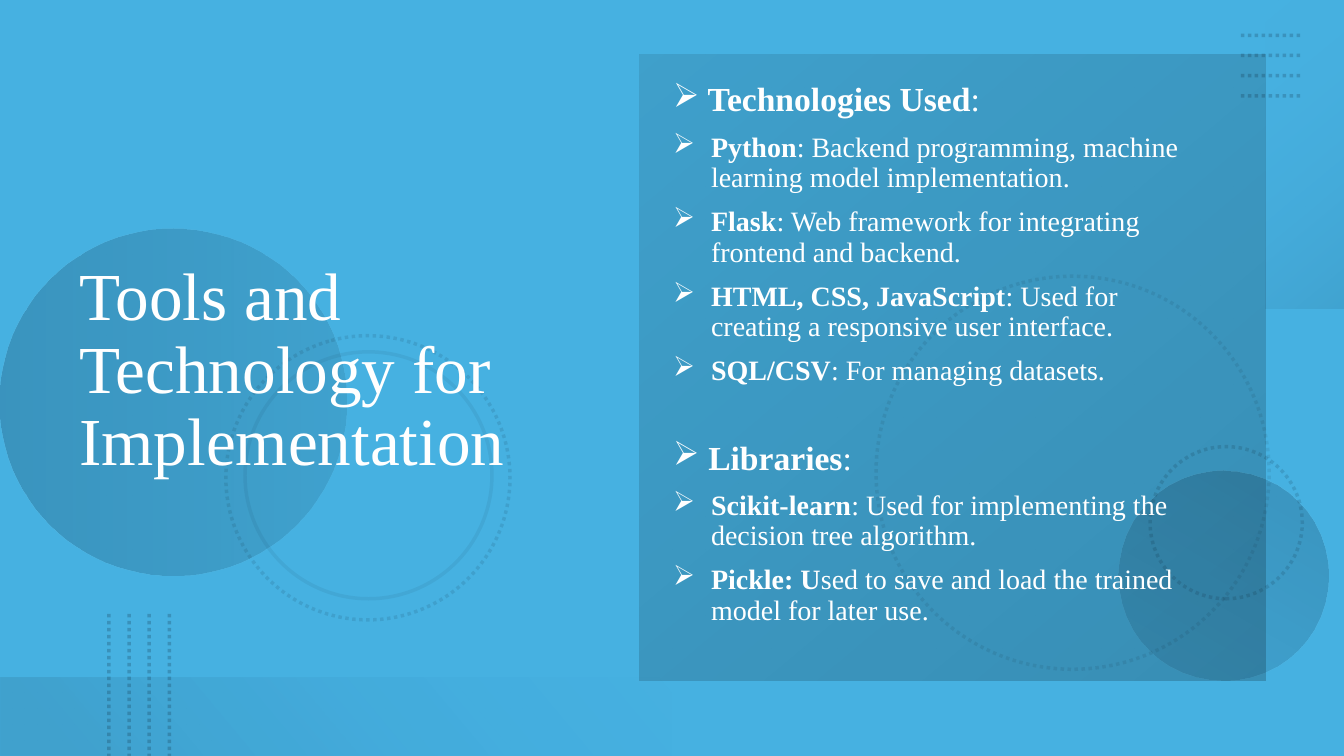
from lxml import etree
from pptx import Presentation
from pptx.dml.color import RGBColor
from pptx.enum.dml import MSO_LINE
from pptx.enum.shapes import MSO_CONNECTOR, MSO_SHAPE
from pptx.enum.text import MSO_ANCHOR
from pptx.oxml.ns import qn
from pptx.util import Pt

RECTANGLE = MSO_SHAPE.RECTANGLE
OVAL = MSO_SHAPE.OVAL
STRAIGHT = MSO_CONNECTOR.STRAIGHT
MIDDLE = MSO_ANCHOR.MIDDLE
DOTTED = MSO_LINE.ROUND_DOT
SOLID = MSO_LINE.SOLID

SKY = RGBColor(0x46, 0xB1, 0xE1)
INK = RGBColor(0x07, 0x14, 0x20)
NAVY = RGBColor(0x0B, 0x1E, 0x31)
BLUE = RGBColor(0x2D, 0x7F, 0xCF)
PALE_BLUE = RGBColor(0x71, 0xAA, 0xE0)
BLACK = RGBColor(0, 0, 0)
WHITE = RGBColor(0xFF, 0xFF, 0xFF)
FONT = "Times New Roman"

SECTIONS = [
    (" Technologies Used", [
        ("Python", ": Backend programming, machine learning model implementation."),
        ("Flask", ": Web framework for integrating frontend and backend."),
        ("HTML, CSS, JavaScript", ": Used for creating a responsive user interface."),
        ("SQL/CSV", ": For managing datasets."),
    ]),
    (" Libraries", [
        ("Scikit-learn", ": Used for implementing the decision tree algorithm."),
        ("Pickle: U", "sed to save and load the trained model for later use."),
    ]),
]


def set_alpha(color_parent, percent):
    color = color_parent.find(qn("a:srgbClr"))
    etree.SubElement(color, qn("a:alpha"), val=str(percent * 1000))


def add_shape(page, kind, left, top, width, height, rotation=0):
    shape = page.shapes.add_shape(kind, Pt(left), Pt(top), Pt(width), Pt(height))
    shape.shadow.inherit = False
    shape.rotation = rotation
    shape.line.fill.background()
    return shape


def fill_gradient(shape, angle, *stops):
    """Fill with two (position, colour, opacity) stops; angle is clockwise."""
    shape.fill.gradient()
    shape.fill.gradient_angle = 360 - angle
    elements = shape.element.xpath(".//a:gs")
    for stop, element, values in zip(shape.fill.gradient_stops, elements, stops):
        position, color, opacity = values
        stop.color.rgb = color
        element.set("pos", str(position * 1000))
        set_alpha(element, opacity)


def style_line(shape, color, opacity, dash=DOTTED):
    shape.line.color.rgb = color
    shape.line.width = Pt(2.5)
    shape.line.dash_style = dash
    set_alpha(shape.element.xpath(".//a:ln/a:solidFill")[0], opacity)


def add_ring(page, left, top, size, opacity, rotation=75, dash=DOTTED):
    ring = add_shape(page, OVAL, left, top, size, size, rotation)
    ring.fill.background()
    style_line(ring, INK, opacity, dash)


def add_dotted_line(page, x1, y1, x2, y2, color):
    line = page.shapes.add_connector(STRAIGHT, Pt(x1), Pt(y1), Pt(x2), Pt(y2))
    style_line(line, color, 20)
    etree.SubElement(line.element.spPr, qn("a:effectLst"))


def add_text_box(page, left, top, width, height):
    box = page.shapes.add_textbox(Pt(left), Pt(top), Pt(width), Pt(height))
    frame = box.text_frame
    frame.word_wrap = True
    frame.vertical_anchor = MIDDLE
    return frame


def add_span(para, text, size, bold=False):
    span = para.add_run()
    span.text = text
    font = span.font
    font.name, font.size, font.bold = FONT, Pt(size), bold
    font.color.rgb = WHITE


def add_bullet(frame, bold_text, plain_text, size, indent, space_before=10):
    used = bool(frame.paragraphs[0].runs)
    para = frame.add_paragraph() if used else frame.paragraphs[0]
    para.line_spacing = 0.9
    para.space_before = Pt(space_before)
    properties = para._p.get_or_add_pPr()
    properties.set("marL", str(Pt(indent)))
    properties.set("indent", str(-Pt(indent)))
    etree.SubElement(properties, qn("a:buChar"), char="➢")
    add_span(para, bold_text, size, bold=True)
    add_span(para, plain_text, size)


def add_backdrop(page):
    sky = add_shape(page, RECTANGLE, 0, 0, 960, 540)
    sky.fill.solid()
    sky.fill.fore_color.rgb = SKY
    bottom_band = add_shape(page, RECTANGLE, 0, 484, 480, 56, 180)
    fill_gradient(bottom_band, 140, (10, INK, 10), (100, BLUE, 0))

    add_ring(page, 625.7, 197.3, 280.8, 8)
    add_ring(page, 821.5, 319, 108.7, 12, rotation=270)
    left_disc = add_shape(page, OVAL, 0, 163.4, 247.7, 247.7, 270)
    fill_gradient(left_disc, 90, (0, NAVY, 20), (100, INK, 10))
    right_disc = add_shape(page, OVAL, 799.2, 336.2, 149.8, 149.8, 210)
    fill_gradient(right_disc, 90, (0, NAVY, 10), (100, NAVY, 20))
    add_ring(page, 161.3, 239.8, 203, 10)
    add_ring(page, 175, 251.3, 176.4, 5, dash=SOLID)

    side_band = add_shape(page, RECTANGLE, 822.2, 82.1, 220.3, 56.2, 270)
    fill_gradient(side_band, 140, (0, PALE_BLUE, 0), (100, NAVY, 10))
    for index in range(4):
        offset = 14.4 * index
        add_dotted_line(page, 886.3, 25.2 + offset, 929.5, 25.2 + offset, NAVY)
        add_dotted_line(page, 77.8 + offset, 438.5, 77.8 + offset, 540, INK)


def add_title(page):
    para = add_text_box(page, 49.7, 49.7, 393.1, 431.3).paragraphs[0]
    para.line_spacing = 0.9
    add_span(para, "Tools and Technology for Implementation", 48)


def add_tools_panel(page):
    panel = add_shape(page, RECTANGLE, 456.5, 38.9, 447.1, 447.1, 90)
    fill_gradient(panel, 140, (0, BLACK, 20), (100, BLACK, 10))
    frame = add_text_box(page, 473.8, 46.8, 393.8, 413)
    for number, (heading, tools) in enumerate(SECTIONS):
        add_bullet(frame, heading, ":", 24, 18, space_before=38.6 if number else 10)
        for name, purpose in tools:
            add_bullet(frame, name, purpose, 20, 27)


def main():
    deck = Presentation()
    deck.slide_width, deck.slide_height = Pt(960), Pt(540)
    page = deck.slides.add_slide(deck.slide_layouts[6])
    add_backdrop(page)
    add_title(page)
    add_tools_panel(page)
    deck.save("out.pptx")


if __name__ == "__main__":
    main()
